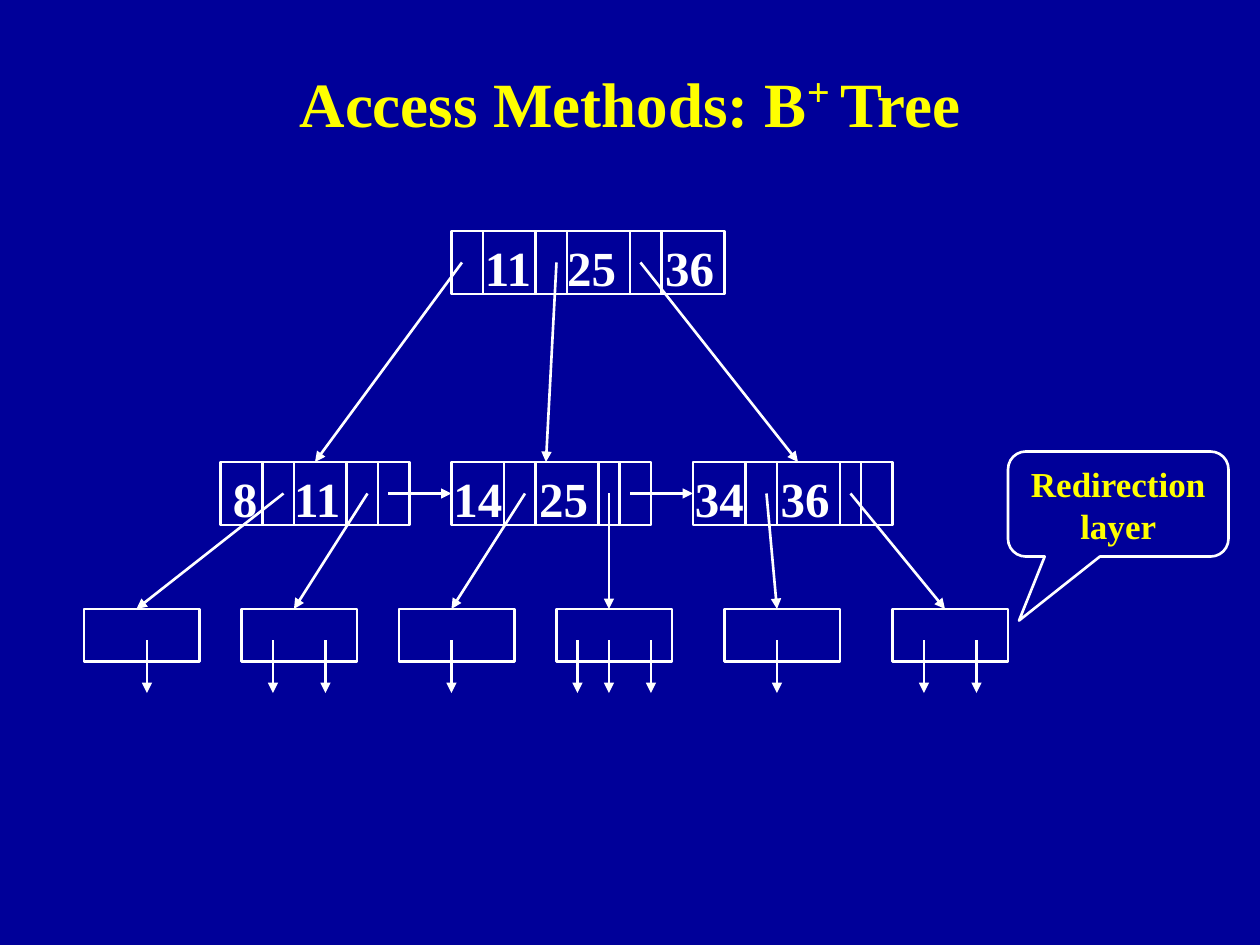
from lxml import etree
from pptx import Presentation
from pptx.dml.color import RGBColor
from pptx.enum.shapes import MSO_CONNECTOR, MSO_SHAPE
from pptx.enum.text import MSO_ANCHOR, PP_ALIGN
from pptx.oxml.ns import qn
from pptx.util import Pt

RECT = MSO_SHAPE.RECTANGLE
BUBBLE = MSO_SHAPE.ROUNDED_RECTANGULAR_CALLOUT
STRAIGHT = MSO_CONNECTOR.STRAIGHT
TOP, MIDDLE = MSO_ANCHOR.TOP, MSO_ANCHOR.MIDDLE
LEFT, CENTER = PP_ALIGN.LEFT, PP_ALIGN.CENTER

COLORS = {"back": "000099", "line": "FFFFFF", "key": "FFFFFF", "title": "FFFF00"}
UNIT = 6  # the tree sits on a grid of 6 points

deck = Presentation()
deck.slide_width, deck.slide_height = Pt(720), Pt(540)
slide = deck.slides.add_slide(deck.slide_layouts[6])
slide.background.fill.solid()
slide.background.fill.fore_color.rgb = RGBColor.from_string(COLORS["back"])
shapes = slide.shapes


def draw(kind, *grid, arrow=False):
    """Draw a line (kind None) or an outlined shape, in grid units."""
    spots = [Pt(n * UNIT) for n in grid]
    if kind is None:
        item = shapes.add_connector(STRAIGHT, *spots)
        etree.SubElement(item._element.spPr, qn("a:effectLst"))
    else:
        item = shapes.add_shape(kind, *spots)
        item.shadow.inherit = False
        item.fill.background()
    item.line.width = Pt(1.5)
    item.line.color.rgb = RGBColor.from_string(COLORS["line"])
    if arrow:
        etree.SubElement(item.line._get_or_add_ln(), qn("a:tailEnd"), type="triangle")
    return item


def write(shape, runs, size, color, align=LEFT, anchor=TOP, tabs=()):
    """Write one bold paragraph; tabs are stops in points."""
    frame = shape.text_frame
    for name, value in {"word_wrap": True, "vertical_anchor": anchor}.items():
        setattr(frame, name, value)
    para = frame.paragraphs[0]
    para.alignment = align
    if tabs:
        stops = etree.SubElement(para._p.get_or_add_pPr(), qn("a:tabLst"))
        for stop in tabs:
            etree.SubElement(stops, qn("a:tab"), pos=str(int(Pt(stop))), algn="l")
    look = {"name": "Times New Roman", "size": Pt(size), "bold": True}
    for words in runs:
        run = para.add_run()
        run.text = words
        for name, value in look.items():
            setattr(run.font, name, value)
        run.font.color.rgb = RGBColor.from_string(COLORS[color])
    return para


# Title with a raised plus
title = shapes.add_textbox(Pt(54), Pt(24), Pt(612), Pt(66))
para = write(title, ["Access Methods: B", "+ ", "Tree"], 36, "title", CENTER, MIDDLE)
plus = para.runs[1].font
plus.size = Pt(40)
plus._element.set("baseline", "30000")

# Nodes: left, top, width, dividers, text left, text width, keys, tab stops
nodes = [
    (43, 22, 26, (46, 51, 54, 60, 63), 45, 25, "11\t25\t36", (47, 103)),
    (21, 44, 18, (25, 28, 33, 36), 21, 14, "8\t11", (35,)),
    (43, 44, 19, (48, 51, 57, 59), 42, 17, "14\t25", (49,)),
    (66, 44, 19, (71, 74, 80, 82), 65, 18, "34\t36", (49,)),
]
for left, top, width, bars, start, span, keys, tabs in nodes:
    draw(RECT, left, top, width, 6)
    for x in bars:
        draw(None, x, top, x, top + 6)
    box = shapes.add_textbox(*[Pt(n * UNIT) for n in (start, top, span, 6.8)])
    write(box, [keys], 28, "key", tabs=tabs)

# Arrows from the root to the leaves
for start, end in [(44, 30), (53, 52), (61, 76)]:
    draw(None, start, 25, end, 44, arrow=True)

# Arrows that chain the leaves
for start, end in [(37, 43), (60, 66)]:
    draw(None, start, 47, end, 47, arrow=True)

# Buckets: left, arrow start, arrow end, arrows out
buckets = [
    (8, 27, 13, (14,)),
    (23, 35, 28, (26, 31)),
    (38, 50, 43, (43,)),
    (53, 58, 58, (55, 58, 62)),
    (69, 73, 74, (74,)),
    (85, 81, 90, (88, 93)),
]
for left, start, end, outs in buckets:
    draw(RECT, left, 58, 11, 5)
    draw(None, start, 47, end, 58, arrow=True)
    for x in outs:
        draw(None, x, 61, x, 66, arrow=True)

# Callout
note = draw(BUBBLE, 96, 43, 21, 10)
for spot, value in enumerate((-0.45, 1.11, 0.17)):
    note.adjustments[spot] = value
write(note, ["Redirection layer"], 20, "title", CENTER)

deck.save("out.pptx")
